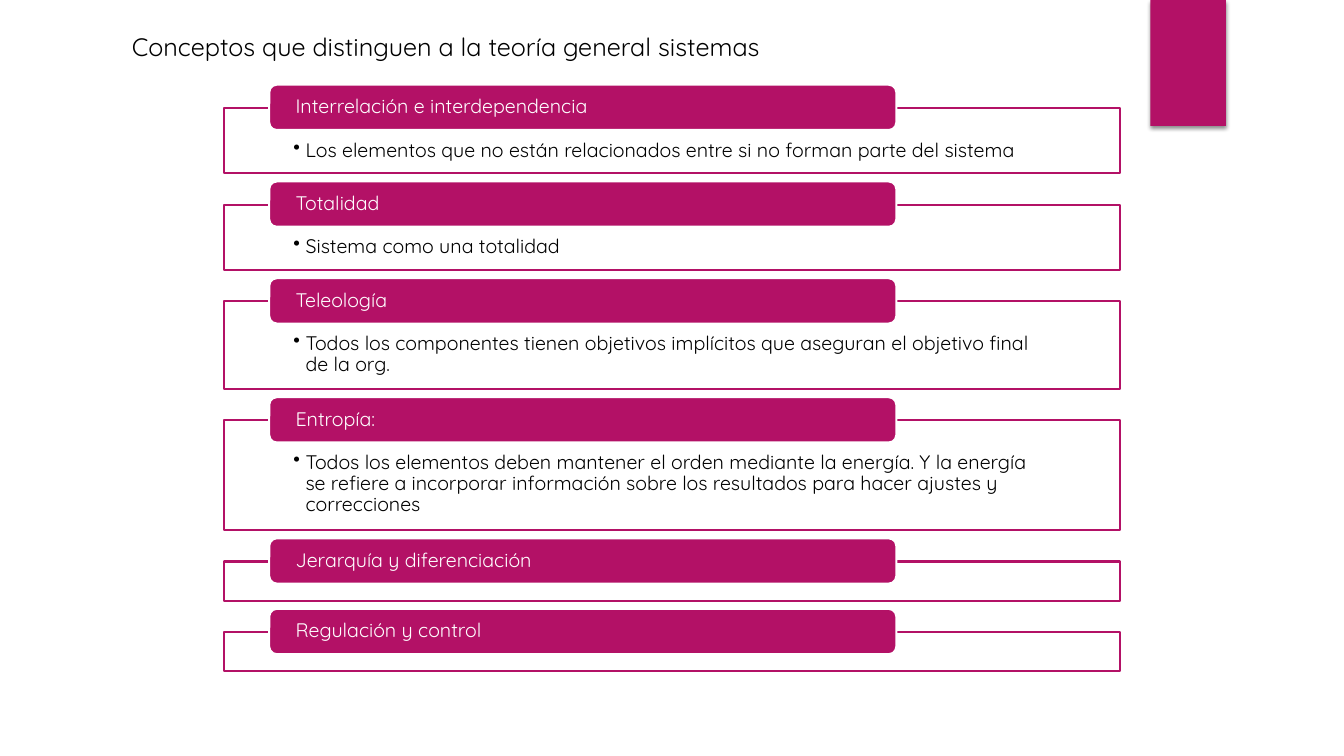
"""Build the slide on the concepts of general systems theory."""
from dataclasses import dataclass

from lxml.etree import SubElement
from pptx import Presentation
from pptx.dml.color import RGBColor
from pptx.enum.shapes import MSO_SHAPE
from pptx.enum.text import MSO_ANCHOR, MSO_AUTO_SIZE, PP_ALIGN
from pptx.oxml.ns import qn
from pptx.shapes.autoshape import Shape
from pptx.slide import Slide
from pptx.text.text import TextFrame
from pptx.util import Inches, Pt

MAGENTA = RGBColor(0xB3, 0x11, 0x66)
WHITE = RGBColor(0xFF, 0xFF, 0xFF)
BLACK = RGBColor(0x00, 0x00, 0x00)
TYPEFACE = "Quicksand"

FIRST_TOP = 1.07
CONCEPT_GAP = 0.31
HEADING_RISE = 0.23

HEADING_FORMAT = {
    "margin_left": Inches(0.24),
    "margin_right": Inches(0.24),
    "margin_top": 0,
    "margin_bottom": 0,
    "vertical_anchor": MSO_ANCHOR.MIDDLE,
    "word_wrap": True,
}
DETAIL_FORMAT = {
    "margin_left": Inches(0.69),
    "margin_right": Inches(0.69),
    "margin_top": Inches(0.32),
    "margin_bottom": Inches(0.11),
    "vertical_anchor": MSO_ANCHOR.TOP,
    "word_wrap": True,
}
TITLE_FORMAT = {"word_wrap": True, "auto_size": MSO_AUTO_SIZE.SHAPE_TO_FIT_TEXT}


@dataclass(frozen=True)
class Concept:
    heading: str
    height: float
    detail: str = ""


CONCEPTS = (
    Concept("Interrelación e interdependencia", 0.65,
            "Los elementos que no están relacionados entre si no forman parte del sistema"),
    Concept("Totalidad", 0.65, "Sistema como una totalidad"),
    Concept("Teleología", 0.87,
            "Todos los componentes tienen objetivos implícitos que aseguran "
            "el objetivo final de la org."),
    Concept("Entropía:", 1.09,
            "Todos los elementos deben mantener el orden mediante la energía. "
            "Y la energía se refiere a incorporar información sobre los resultados "
            "para hacer ajustes y correcciones"),
    Concept("Jerarquía y diferenciación", 0.39),
    Concept("Regulación y control", 0.39),
)


def add_block(slide: Slide, preset: MSO_SHAPE, left: float, top: float, width: float,
              height: float, fill: RGBColor, outline: RGBColor | None = None) -> Shape:
    """Add a filled preset shape without a theme shadow."""
    block = slide.shapes.add_shape(
        preset, Inches(left), Inches(top), Inches(width), Inches(height))
    block.shadow.inherit = False
    block.fill.solid()
    block.fill.fore_color.rgb = fill
    if outline is None:
        block.line.fill.background()
    else:
        block.line.color.rgb = outline
        block.line.width = Pt(1.5)
    return block


def write(frame: TextFrame, wording: str, size: int, color: RGBColor,
          frame_format: dict, spacing: float = 1.0) -> None:
    """Fill a text frame with one left-aligned paragraph."""
    for name, value in frame_format.items():
        setattr(frame, name, value)
    paragraph = frame.paragraphs[0]
    paragraph.alignment = PP_ALIGN.LEFT
    paragraph.line_spacing = spacing
    run = paragraph.add_run()
    run.text = wording
    for name, value in {"name": TYPEFACE, "size": Pt(size)}.items():
        setattr(run.font, name, value)
    run.font.color.rgb = color


def add_bullet(frame: TextFrame) -> None:
    """Give the first paragraph a hanging bullet."""
    properties = frame.paragraphs[0]._p.get_or_add_pPr()
    properties.set("marL", str(Inches(0.12)))
    properties.set("indent", str(Inches(-0.12)))
    SubElement(properties, qn("a:buChar"), char="•")


def add_concept(slide: Slide, concept: Concept, top: float) -> None:
    """Draw one concept: its outlined detail box and its heading bar."""
    detail = add_block(slide, MSO_SHAPE.RECTANGLE, 2.22, top, 8.89, concept.height,
                       WHITE, MAGENTA)
    fill_color = detail._element.spPr.find(qn("a:solidFill"))[0]
    SubElement(fill_color, qn("a:alpha"), val="90000")
    if concept.detail:
        write(detail.text_frame, concept.detail, 14, BLACK, DETAIL_FORMAT, 0.9)
        add_bullet(detail.text_frame)
    heading = add_block(slide, MSO_SHAPE.ROUNDED_RECTANGLE, 2.67, top - HEADING_RISE,
                        6.22, 0.45, MAGENTA, WHITE)
    write(heading.text_frame, concept.heading, 14, WHITE, HEADING_FORMAT, 0.9)


def add_corner_tab(slide: Slide) -> None:
    """Draw the shadowed tab at the top right."""
    tab = add_block(slide, MSO_SHAPE.RECTANGLE, 11.41, 0, 0.75, 1.25, MAGENTA)
    effects = tab._element.spPr.find(qn("a:effectLst"))
    shadow = SubElement(effects, qn("a:outerShdw"), blurRad=str(Pt(3)), dist=str(Pt(2)),
                        dir="5400000", rotWithShape="0")
    shadow_color = SubElement(shadow, qn("a:srgbClr"), val=str(BLACK))
    SubElement(shadow_color, qn("a:alpha"), val="45000")


def main() -> None:
    """Assemble and save the slide."""
    deck = Presentation()
    deck.slide_width = Inches(13.33)
    deck.slide_height = Inches(7.5)
    slide = deck.slides.add_slide(deck.slide_layouts[6])
    add_corner_tab(slide)
    top = FIRST_TOP
    for concept in CONCEPTS:
        add_concept(slide, concept, top)
        top += concept.height + CONCEPT_GAP
    title = slide.shapes.add_textbox(Inches(1.21), Inches(0.26), Inches(7.12), Inches(0.4))
    write(title.text_frame, "Conceptos que distinguen a la teoría general sistemas",
          18, BLACK, TITLE_FORMAT)
    deck.save("out.pptx")


if __name__ == "__main__":
    main()
